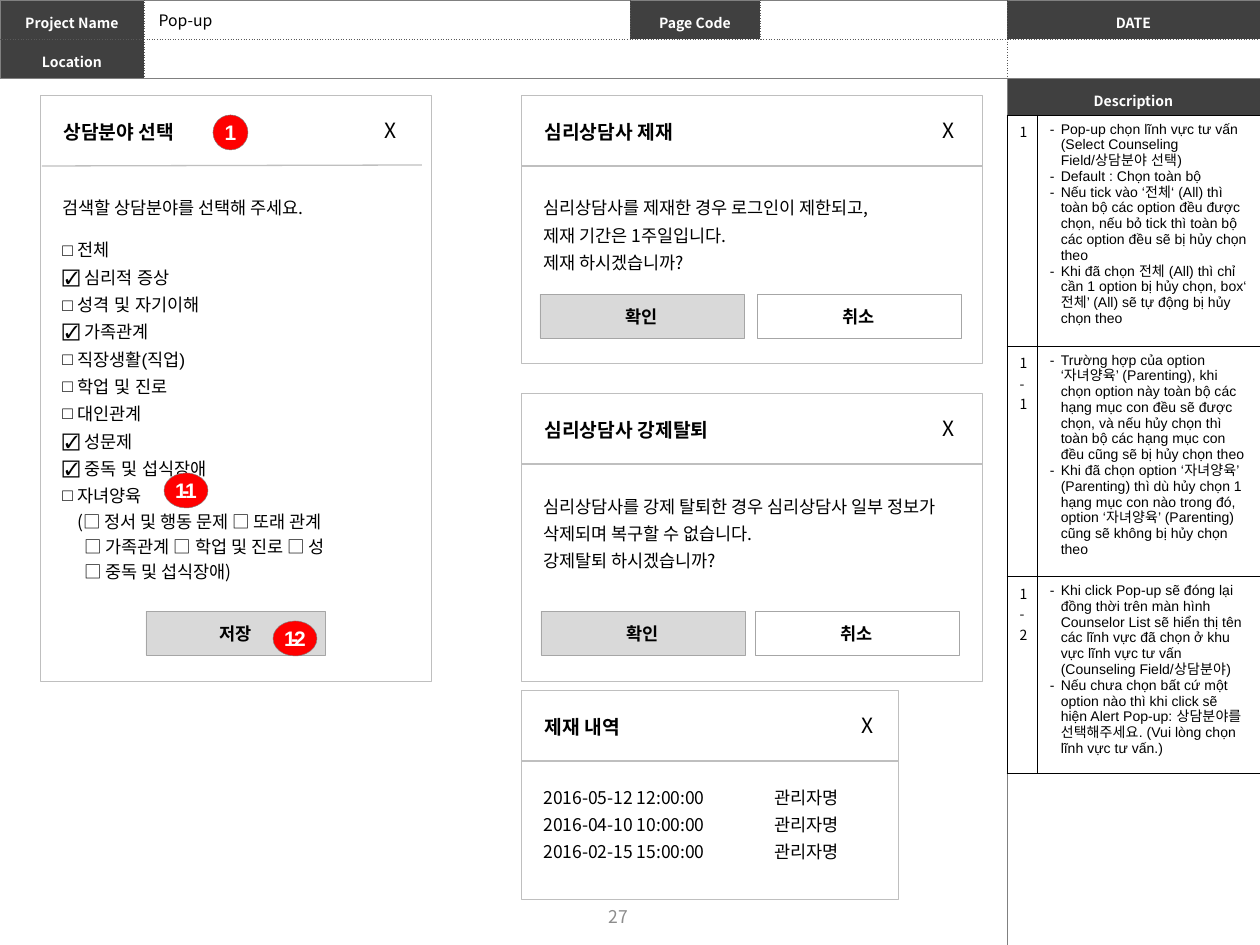
from lxml import etree
from pptx import Presentation
from pptx.dml.color import RGBColor
from pptx.enum.shapes import MSO_CONNECTOR, MSO_SHAPE
from pptx.enum.text import MSO_ANCHOR, MSO_AUTO_SIZE, PP_ALIGN
from pptx.oxml.ns import qn
from pptx.util import Emu, Pt

LEFT, CENTER = PP_ALIGN.LEFT, PP_ALIGN.CENTER
TOP, MIDDLE = MSO_ANCHOR.TOP, MSO_ANCHOR.MIDDLE
RECTANGLE, ELLIPSE = MSO_SHAPE.RECTANGLE, MSO_SHAPE.OVAL
STRAIGHT = MSO_CONNECTOR.STRAIGHT
NO_FIT, GROW = MSO_AUTO_SIZE.NONE, MSO_AUTO_SIZE.SHAPE_TO_FIT_TEXT

BLACK, WHITE = RGBColor(0, 0, 0), RGBColor(255, 255, 255)
DARK, DOTTED = RGBColor(0x40, 0x40, 0x40), RGBColor(0x59, 0x59, 0x59)
GRAY, NUMBER_GRAY = RGBColor(0x80, 0x80, 0x80), RGBColor(0x8C, 0x8C, 0x8C)
FRAME, BUTTON_LINE = RGBColor(0xBF, 0xBF, 0xBF), RGBColor(0xA6, 0xA6, 0xA6)
BUTTON, RED = RGBColor(0xD9, 0xD9, 0xD9), RGBColor(255, 0, 0)
NOTO, ARIAL = "Noto Sans CJK KR", "Arial"

# Content: lengths in px, 126 px to the inch
HEADER_COLUMNS = [144, 486, 130, 247, 253]
HEADER_ROWS = [["Project Name", "", "Page Code", "", "DATE"], ["Location", "", "", "", ""]]

# Body: left, top, width, height, lines; buttons: left, top, width, label, fill
POPUPS = [
    dict(box=(521, 95, 461, 268), title="심리상담사 제재", title_width=169,
         close=930, divider=(522, 166, 982, 166),
         bodies=[(531, 185, 402, 96, ["심리상담사를 제재한 경우 로그인이 제한되고,",
                                      "제재 기간은 1주일입니다.", "제재 하시겠습니까?"])],
         buttons=[(540, 294, 204, "확인", BUTTON), (757, 294, 204, "취소", WHITE)]),
    dict(box=(521, 690, 377, 209), title="제재 내역", title_width=110,
         close=849, divider=(522, 761, 898, 761),
         bodies=[(531, 774, 190, 96, ["2016-05-12 12:00:00", "2016-04-10 10:00:00",
                                      "2016-02-15 15:00:00"]),
                 (762, 774, 96, 96, ["관리자명"] * 3)],
         buttons=[]),
    dict(box=(521, 393, 461, 288), title="심리상담사 강제탈퇴", title_width=207,
         close=930, divider=(522, 464, 982, 464),
         bodies=[(531, 483, 469, 96, ["심리상담사를 강제 탈퇴한 경우 심리상담사 일부 정보가",
                                      "삭제되며 복구할 수 없습니다.", "강제탈퇴 하시겠습니까?"])],
         buttons=[(541, 611, 204, "확인", BUTTON), (755, 611, 204, "취소", WHITE)]),
    dict(box=(40, 95, 391, 586), title="상담분야 선택", title_width=149,
         close=372, divider=(42, 166, 422, 165),
         bodies=[(50, 185, 295, 40, ["검색할 상담분야를 선택해 주세요."])],
         buttons=[(146, 611, 179, "저장", BUTTON)]),
]

# A paragraph is plain text or a dict of text and paragraph format
FIELDS = [
    "□ 전체", dict(text=" 심리적 증상", bullet="☑"), "□ 성격 및 자기이해",
    dict(text=" 가족관계", bullet="☑"), dict(text=" 직장생활(직업)", bullet="□"),
    dict(text=" 학업 및 진로", bullet="□"), dict(text=" 대인관계", bullet="□"),
    dict(text=" 성문제", bullet="☑"), dict(text=" 중독 및 섭식장애", bullet="☑"),
    dict(text=" 자녀양육", bullet="□"),
    dict(text="(□ 정서 및 행동 문제 □ 또래 관계", margin=15, spacing=1.2, font=NOTO),
    dict(text="□ 가족관계 □ 학업 및 진로 □ 성", margin=22, spacing=1.2, font=NOTO),
    dict(text="□ 중독 및 섭식장애)", margin=22, spacing=1.2, font=NOTO),
]

# Label, left, top, width, letter spacing
BADGES = [("1", 213, 115, 35, 0), ("1-1", 164, 473, 44, -250), ("1-2", 273, 621, 44, -250)]

DESCRIPTIONS = [
    ("1", 231, [
        "Pop-up chọn lĩnh vực tư vấn (Select Counseling Field/상담분야 선택)",
        "Default : Chọn toàn bộ",
        "Nếu tick vào ‘전체‘ (All) thì toàn bộ các option đều được chọn, nếu bỏ tick thì "
        "toàn bộ các option đều sẽ bị hủy chọn theo",
        "Khi đã chọn 전체 (All) thì chỉ cần 1 option bị hủy chọn, box‘ 전체’ (All) sẽ tự "
        "động bị hủy chọn theo"]),
    ("1-1", 230, [
        "Trường hợp của option ‘자녀양육’ (Parenting), khi chọn option này toàn bộ các hạng "
        "mục con đều sẽ được chọn, và nếu hủy chọn thì toàn bộ các hạng mục con đều cũng "
        "sẽ bị hủy chọn theo",
        "Khi đã chọn option ‘자녀양육’ (Parenting) thì dù hủy chọn 1 hạng mục con nào trong "
        "đó, option ‘자녀양육’ (Parenting) cũng sẽ không bị hủy chọn theo"]),
    ("1-2", 197, [
        "Khi click Pop-up sẽ đóng lại đồng thời trên màn hình Counselor List sẽ hiển thị "
        "tên các lĩnh vực đã chọn ở khu vực lĩnh vực tư vấn (Counseling Field/상담분야)",
        "Nếu chưa chọn bất cứ một option nào thì khi click sẽ hiện Alert Pop-up: "
        "상담분야를 선택해주세요. (Vui lòng chọn lĩnh vực tư vấn.)"]),
]


def px(value):
    return Emu(round(value * 914400 / 126))


def set_text(frame, paragraphs, size=10, font=NOTO, color=BLACK, bold=False, align=LEFT,
             spacing=1.0, bullet=None, margin=0, indent=0, tracking=0):
    for index, item in enumerate(paragraphs):
        item = item if isinstance(item, dict) else dict(text=item)
        paragraph = frame.paragraphs[0] if index == 0 else frame.add_paragraph()
        properties = paragraph._p.get_or_add_pPr()
        properties.set("marL", str(px(item.get("margin", margin))))
        properties.set("indent", str(px(indent)))
        mark = item.get("bullet", bullet)
        if mark:
            etree.SubElement(properties, qn("a:buFont"), typeface=ARIAL)
            etree.SubElement(properties, qn("a:buChar"), char=mark)
        else:
            etree.SubElement(properties, qn("a:buNone"))
        paragraph.alignment = align
        paragraph.line_spacing = item.get("spacing", spacing)
        if not item["text"]:
            etree.SubElement(paragraph._p, qn("a:endParaRPr"), sz=str(size * 100))
            continue
        run = paragraph.add_run()
        run.text = item["text"]
        run.font.size, run.font.bold = Pt(size), bold
        run.font.name = item.get("font", font)
        run.font.color.rgb = color
        etree.SubElement(run._r.rPr, qn("a:ea"), typeface=run.font.name)
        if tracking:
            run._r.rPr.set("spc", str(tracking))


def set_frame(frame, wrap=False, anchor=TOP, fit=NO_FIT):
    frame.word_wrap, frame.vertical_anchor, frame.auto_size = wrap, anchor, fit


def add_text(shapes, box, paragraphs, wrap=False, anchor=TOP, fit=GROW, **style):
    frame = shapes.add_textbox(*map(px, box)).text_frame
    set_frame(frame, wrap, anchor, fit)
    set_text(frame, paragraphs, **style)


def add_box(shapes, kind, box, fill, line):
    shape = shapes.add_shape(kind, *map(px, box))
    shape.shadow.inherit = False
    shape.fill.solid()
    shape.fill.fore_color.rgb = fill
    shape.line.color.rgb, shape.line.width = line, Pt(0.25)
    return shape


def add_table(box, columns, rows):
    frame = slide.shapes.add_table(len(rows), len(columns), *map(px, box))
    table = frame.table
    table.first_row = table.horz_banding = False
    for column, width in zip(table.columns, columns):
        column.width = px(width)
    for row, height in zip(table.rows, rows):
        row.height = px(height)
    return table


def format_cell(cell, fill, borders):
    """Borders: (colour, dash) for left, right, top and bottom."""
    properties = cell._tc.get_or_add_tcPr()
    for side, (color, dash) in zip("LRTB", borders):
        line = etree.SubElement(properties, qn("a:ln" + side), w="6350")
        paint = etree.SubElement(line, qn("a:solidFill"))
        etree.SubElement(paint, qn("a:srgbClr"), val=str(color))
        etree.SubElement(line, qn("a:prstDash"), val=dash)
    if fill is None:
        cell.fill.background()
    else:
        cell.fill.solid()
        cell.fill.fore_color.rgb = fill


def fill_header_table(table, rows):
    last_row, last_column = len(rows) - 1, len(rows[0]) - 1
    for r, labels in enumerate(rows):
        for c, label in enumerate(labels):
            cell = table.cell(r, c)
            outer = [c == 0, c == last_column, r == 0, r == last_row]
            format_cell(cell, DARK if label else None,
                        [(GRAY, "solid") if edge else (DOTTED, "sysDot") for edge in outer])
            cell.margin_left = cell.margin_right = cell.margin_top = cell.margin_bottom = px(5)
            cell.vertical_anchor = MIDDLE
            set_text(cell.text_frame, [label], size=8, color=WHITE, bold=True,
                     align=CENTER, spacing=1.3)


presentation = Presentation()
presentation.slide_width, presentation.slide_height = px(1260), px(945)
slide = presentation.slides.add_slide(presentation.slide_layouts[5])

# Page header and description column
header = add_table((0, 0, 1260, 78), HEADER_COLUMNS, [39, 39])
fill_header_table(header, HEADER_ROWS)
header.cell(1, 1).merge(header.cell(1, 3))
fill_header_table(add_table((1007, 78, 253, 867), [253], [39, 828]), [["Description"], [""]])

# Project name as the slide title
title = slide.shapes.title
title.left, title.top, title.width, title.height = map(px, (146, 4, 79, 31))
set_frame(title.text_frame, fit=GROW)
set_text(title.text_frame, ["Pop-up"], size=9)

# Pop-ups
for popup in POPUPS:
    shapes = slide.shapes.add_group_shape().shapes
    left, top = popup["box"][:2]
    add_box(shapes, RECTANGLE, popup["box"], WHITE, FRAME)
    divider = shapes.add_connector(STRAIGHT, *map(px, popup["divider"]))
    divider.line.color.rgb, divider.line.width = FRAME, Pt(0.75)
    etree.SubElement(divider._element.spPr, qn("a:effectLst"))
    add_text(shapes, (left + 11, top + 19, popup["title_width"], 37), [popup["title"]],
             size=11, bold=True)
    add_text(shapes, (popup["close"], top + 16, 39, 38), ["X"], size=12)
    for *box, lines in popup["bodies"]:
        add_text(shapes, box, lines, spacing=1.3)
    for x, y, width, label, fill in popup["buttons"]:
        button = add_box(shapes, RECTANGLE, (x, y, width, 44), fill, BUTTON_LINE)
        set_frame(button.text_frame, anchor=MIDDLE)
        set_text(button.text_frame, [label], bold=True, align=CENTER)

# Counseling fields and page number
add_text(slide.shapes, (50, 227, 348, 364), FIELDS, font=ARIAL, spacing=1.3)
add_text(slide.shapes, (471, 892, 294, 50), ["27"], wrap=True, anchor=MIDDLE, fit=NO_FIT,
         color=NUMBER_GRAY, align=CENTER)

# Numbered badges, each label on one line
for label, x, y, width, tracking in BADGES:
    badge = add_box(slide.shapes, ELLIPSE, (x, y, width, 35), RED, GRAY)
    frame = badge.text_frame
    set_frame(frame, anchor=MIDDLE)
    frame.margin_left = frame.margin_right = 0
    set_text(frame, [label], size=12, font=ARIAL, color=WHITE, bold=True, align=CENTER,
             tracking=tracking)

# Descriptions
notes = add_table((1007, 115, 253, 658), [30, 223], [row[1] for row in DESCRIPTIONS])
for r, (number, _, lines) in enumerate(DESCRIPTIONS):
    for c in range(2):
        format_cell(notes.cell(r, c), WHITE, [(BLACK, "solid")] * 4)
    set_text(notes.cell(r, 0).text_frame, [number], size=8)
    set_text(notes.cell(r, 1).text_frame, lines, size=8, font=ARIAL, bullet="-",
             margin=11, indent=-11)

presentation.save("out.pptx")
